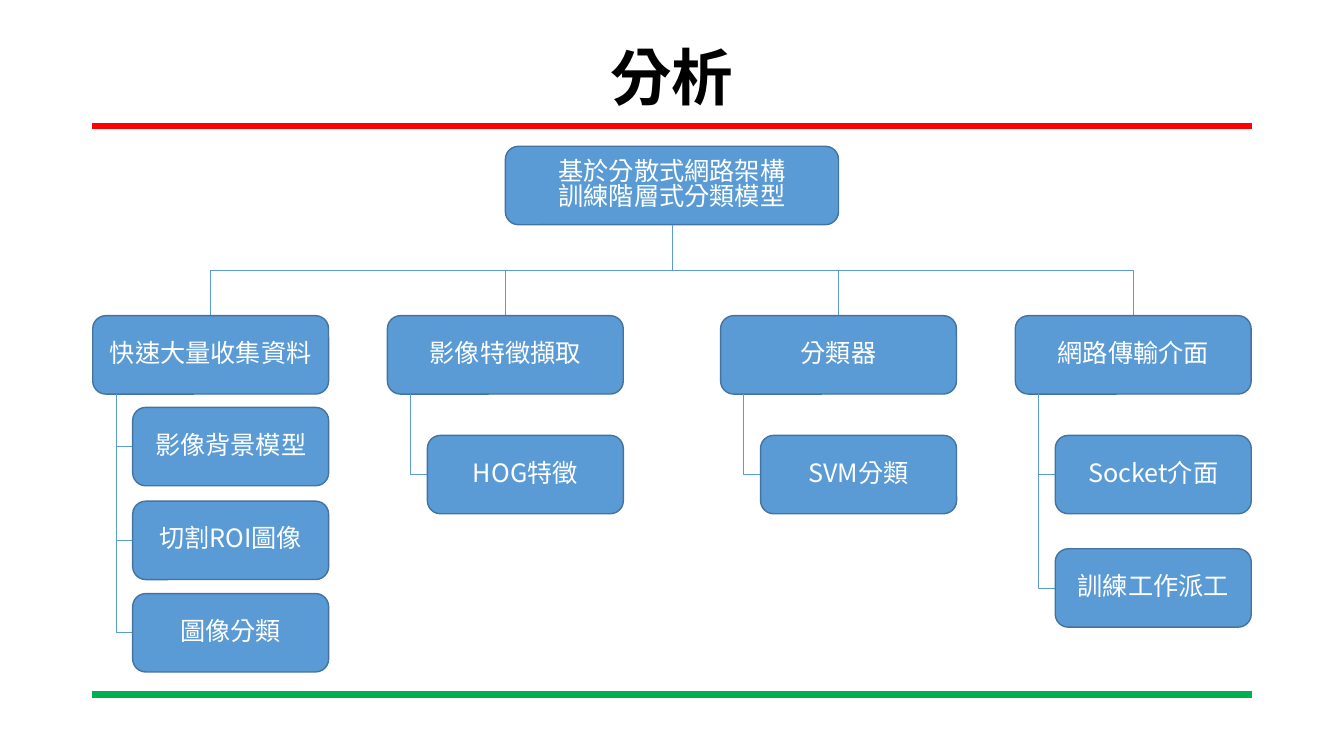
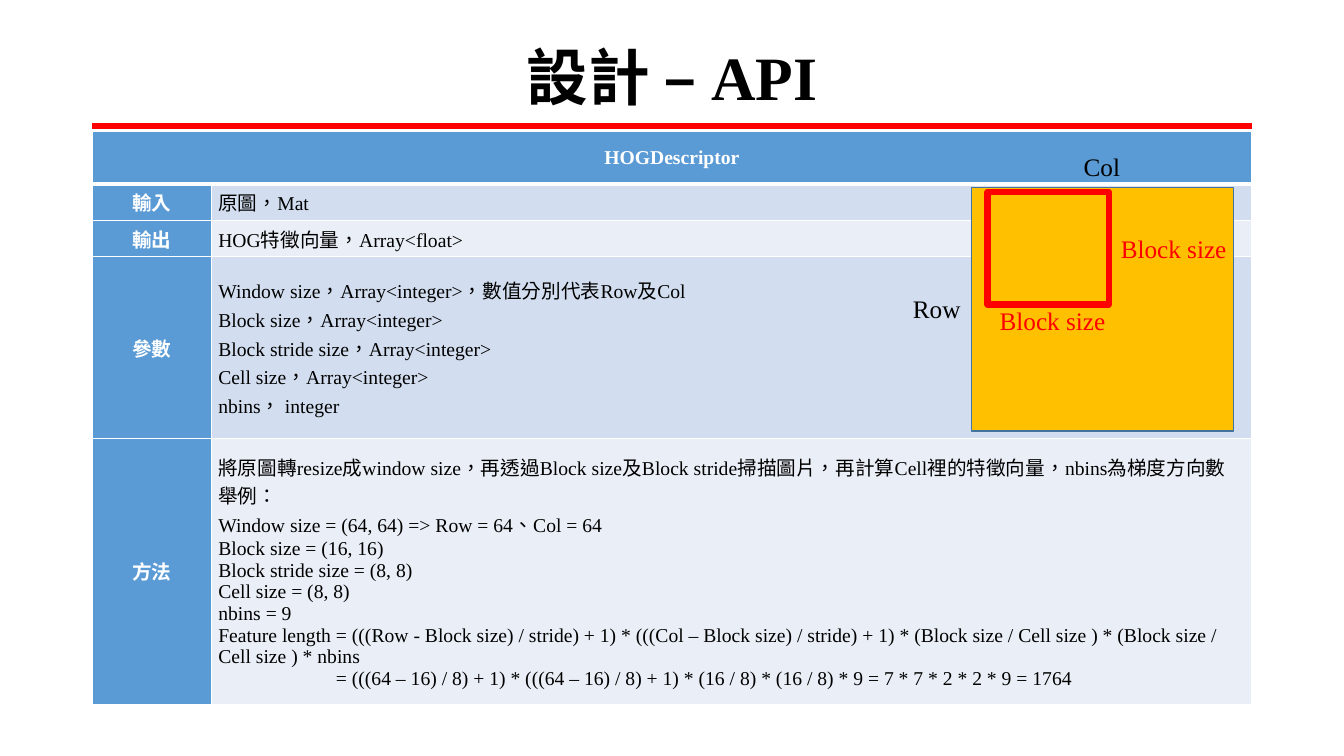
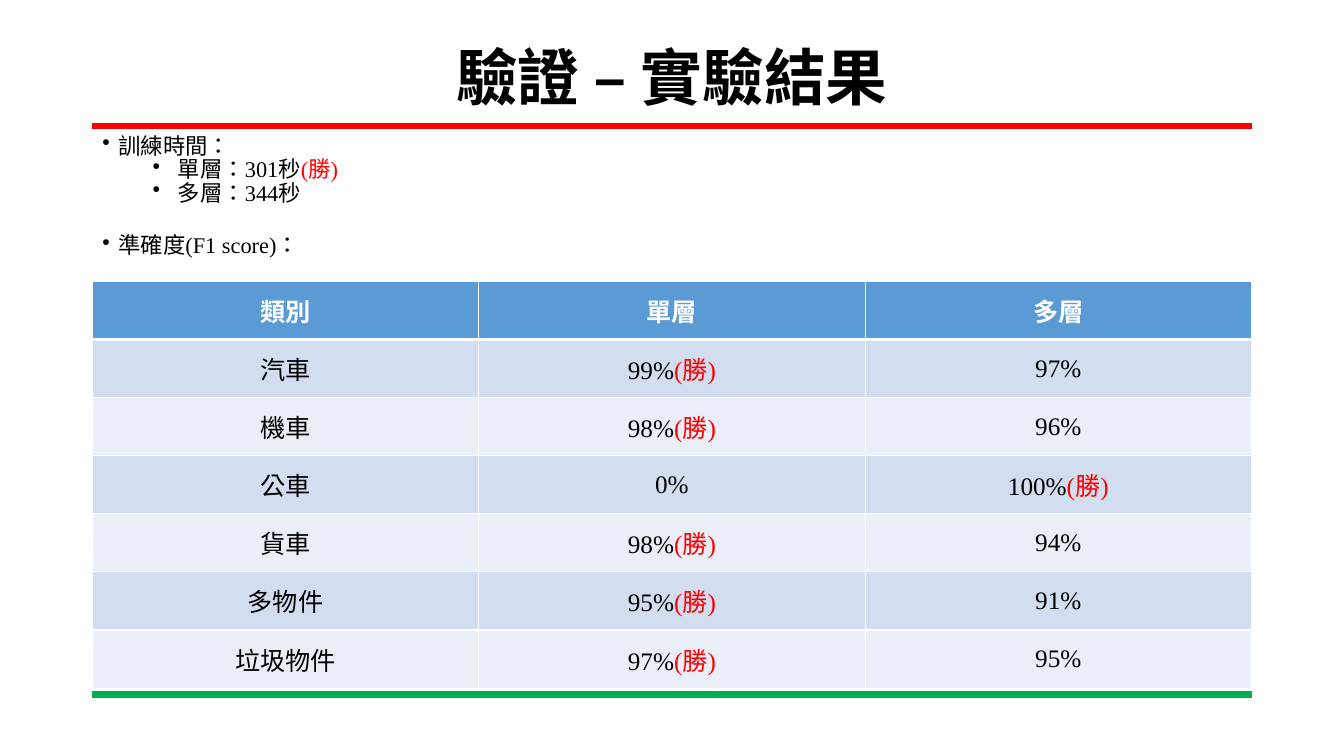
from dataclasses import dataclass

from lxml import etree
from pptx import Presentation
from pptx.dml.color import RGBColor
from pptx.enum.shapes import MSO_CONNECTOR, MSO_SHAPE
from pptx.enum.text import MSO_ANCHOR, MSO_AUTO_SIZE, PP_ALIGN
from pptx.oxml.ns import qn
from pptx.util import Pt

ROUND, RECT = MSO_SHAPE.ROUNDED_RECTANGLE, MSO_SHAPE.RECTANGLE
STRAIGHT, ELBOW = MSO_CONNECTOR.STRAIGHT, MSO_CONNECTOR.ELBOW
LEFT, CENTER = PP_ALIGN.LEFT, PP_ALIGN.CENTER
TOP, MIDDLE = MSO_ANCHOR.TOP, MSO_ANCHOR.MIDDLE
NO_FIT = MSO_AUTO_SIZE.NONE
TAIWAN = "zh-TW"


@dataclass(frozen=True)
class Theme:
    black: str = "000000"
    white: str = "FFFFFF"
    red: str = "FF0000"
    green: str = "00B050"
    blue: str = "5B9BD5"
    edge: str = "43739E"
    gold: str = "FFC000"
    bands: tuple = ("EAEFF7", "D2DEEF")
    serif: str = "Times New Roman"
    sans: str = "Noto Sans CJK SC"
    head: int = 44
    label: int = 18
    body: int = 16
    small: int = 14
    left: int = 66
    wide: int = 828


T = Theme()


def put(item, **values):
    for name, value in values.items():
        setattr(item, name, value)


def rgb(ink):
    return RGBColor.from_string(ink)


def points(*sizes):
    return [Pt(size) for size in sizes]


def mark(text):
    score, win, rest = text.partition("(勝)")
    return [(score, T.black), (win, T.red), (rest, T.black)]


class Deck:
    def __init__(self):
        self.file = Presentation()
        put(self.file, slide_width=Pt(960), slide_height=Pt(540))
        self.slide = None

    def page(self, title):
        self.slide = self.file.slides.add_slide(self.file.slide_layouts[5])
        for y, ink in ((90, T.red), (496, T.green)):
            self.link(STRAIGHT, T.left, y, T.left + T.wide, y, ink, 4.5)
        head = self.slide.shapes.title
        left, top, width, height = points(T.left, 29, T.wide, 57)
        put(head, left=left, top=top, width=width, height=height)
        put(head.text_frame, auto_size=NO_FIT, word_wrap=True)
        self.text(head.text_frame, [title], T.head, bold=True, align=CENTER,
                  anchor=MIDDLE, space=0.9)

    def runs(self, para, text, size, ink, face, bold):
        parts = [(text, ink)] if isinstance(text, str) else text
        for words, tone in parts:
            for row, line in enumerate(words.split("\n")):
                if row:
                    para.add_line_break()
                if not line:
                    continue
                run = para.add_run()
                run.text = line
                put(run.font, name=face, size=Pt(size), bold=bold)
                run.font.color.rgb = rgb(tone)
                props = run._r.get_or_add_rPr()
                props.set("lang", TAIWAN)
                etree.SubElement(props, qn("a:ea")).set("typeface", T.sans)

    def text(self, frame, lines, size, ink=T.black, face=T.serif, bold=False,
             align=LEFT, anchor=TOP, space=None):
        frame.vertical_anchor = anchor
        for row, line in enumerate(lines):
            para = frame.add_paragraph() if row else frame.paragraphs[0]
            put(para, alignment=align, line_spacing=space)
            self.runs(para, line, size, ink, face, bold)

    def link(self, kind, x1, y1, x2, y2, ink=T.blue, weight=0.5):
        line = self.slide.shapes.add_connector(kind, *points(x1, y1, x2, y2))
        line.line.color.rgb = rgb(ink)
        line.line.width = Pt(weight)
        etree.SubElement(line.element.spPr, qn("a:effectLst"))
        return line

    def bend(self, x1, y1, x2, y2, preset="bentConnector3"):
        long, wide = (y2 - y1) / 2, abs(x2 - x1) / 2
        x, y = (x1 + x2) / 2, (y1 + y2) / 2
        turn, side = (270, -1) if x2 > x1 else (90, 1)
        line = self.link(ELBOW, x - side * long, y - wide, x + side * long, y + wide)
        props = line.element.spPr
        props.find(qn("a:xfrm")).set("rot", str(turn * 60000))
        props.find(qn("a:prstGeom")).set("prst", preset)

    def shape(self, kind, area, fill=None, edge=T.edge, weight=1):
        item = self.slide.shapes.add_shape(kind, *points(*area))
        item.shadow.inherit = False
        if fill:
            item.fill.solid()
            item.fill.fore_color.rgb = rgb(fill)
        else:
            item.fill.background()
        item.line.color.rgb = rgb(edge)
        item.line.width = Pt(weight)
        return item

    def node(self, text, *area):
        frame = self.shape(ROUND, area, T.blue).text_frame
        frame.word_wrap = True
        self.text(frame, [text], T.label, T.white, T.sans,
                  align=CENTER, anchor=MIDDLE, space=0.83)

    def label(self, text, ink, *area):
        frame = self.slide.shapes.add_textbox(*points(*area)).text_frame
        frame.word_wrap = False
        self.text(frame, [text], T.label, ink)

    def bullets(self, items, *area):
        frame = self.slide.shapes.add_textbox(*points(*area)).text_frame
        frame.word_wrap = True
        self.text(frame, [text for text, _, _ in items], T.body, space=0.88)
        for para, (_, level, gap) in zip(frame.paragraphs, items):
            margin, hang = ((11.5, 11.5), (54, 18))[level]
            put(para, level=level, space_before=Pt(gap))
            props = para._p.get_or_add_pPr()
            props.set("marL", str(Pt(margin)))
            props.set("indent", str(-Pt(hang)))
            etree.SubElement(props, qn("a:buChar")).set("char", "•")

    def rule(self, cell, row):
        props = cell._tc.get_or_add_tcPr()
        thick = {"lnT": 3 if row == 1 else 1, "lnB": 1 if row else 3}
        for side in ("lnL", "lnR", "lnT", "lnB"):
            line = etree.SubElement(props, qn("a:" + side))
            line.set("w", str(Pt(thick.get(side, 1))))
            fill = etree.SubElement(line, qn("a:solidFill"))
            etree.SubElement(fill, qn("a:srgbClr")).set("val", T.white)

    def table(self, rows, top, cols, highs, size, side=False, pad=(7.2, 3.6)):
        area = points(T.left, top, sum(cols), sum(highs))
        grid = self.slide.shapes.add_table(len(rows), len(cols), *area).table
        for col, width in zip(grid.columns, cols):
            col.width = Pt(width)
        for row, high in zip(grid.rows, highs):
            row.height = Pt(high)
        wide, high = points(*pad)
        for r, row in enumerate(rows):
            for c, text in enumerate(row):
                cell = grid.cell(r, c)
                head = r == 0 or (side and c == 0)
                self.rule(cell, r)
                cell.fill.solid()
                cell.fill.fore_color.rgb = rgb(T.blue if head else T.bands[r % 2])
                put(cell, margin_left=wide, margin_right=wide,
                    margin_top=high, margin_bottom=high)
                lines = text if isinstance(text, tuple) else (text,)
                self.text(cell.text_frame, lines, size,
                          T.white if head else T.black, bold=head,
                          align=CENTER if head or not side else LEFT)
                cell.vertical_anchor = MIDDLE
        return grid


def tree(deck):
    deck.page("分析")
    mid, wide, high, top = 480, 168.5, 56, 225.5
    deck.node("基於分散式網路架構\n訓練階層式分類模型", mid - 119, 104.5, 238, high)
    groups = (
        (-329.5, "快速大量收集資料",
         (("影像背景模型", 291), ("切割ROI圖像", 358), ("圖像分類", 424))),
        (-119, "影像特徵擷取", (("HOG特徵", 311),)),
        (119, "分類器", (("SVM分類", 311),)),
        (329.5, "網路傳輸介面", (("Socket介面", 311), ("訓練工作派工", 392))),
    )
    for shift, name, leaves in groups:
        left = mid + shift - wide / 2
        deck.bend(mid, 104.5 + high, mid + shift, top)
        deck.node(name, left, top, wide, high)
        for leaf, y in leaves:
            deck.bend(left + 16.5, top + high, left + 28.5, y + high / 2,
                      "bentConnector2")
            deck.node(leaf, left + 28.5, y, wide - 28.5, high)


def design(deck):
    deck.page("設計 – API")
    rows = (
        ("HOGDescriptor", ""),
        ("輸入", "原圖，Mat"),
        ("輸出", "HOG特徵向量，Array<float>"),
        ("參數", (
            "Window size，Array<integer>，數值分別代表Row及Col",
            "Block size，Array<integer>",
            "Block stride size，Array<integer>",
            "Cell size，Array<integer>",
            "nbins， integer")),
        ("方法", (
            "將原圖轉resize成window size，再透過Block size及Block stride掃描圖片，"
            "再計算Cell裡的特徵向量，nbins為梯度方向數",
            "舉例：",
            "Window size = (64, 64) => Row = 64、Col = 64",
            "Block size = (16, 16)",
            "Block stride size = (8, 8)",
            "Cell size = (8, 8)",
            "nbins = 9",
            "Feature length = (((Row - Block size) / stride) + 1) * "
            "(((Col – Block size) / stride) + 1) * (Block size / Cell size ) * "
            "(Block size / Cell size ) * nbins",
            "= (((64 – 16) / 8) + 1) * (((64 – 16) / 8) + 1) * (16 / 8) * (16 / 8)"
            " * 9 = 7 * 7 * 2 * 2 * 9 = 1764")),
    )
    grid = deck.table(rows, 94, (85, 743), (37.5, 26, 26, 129.5, 179), T.small,
                      side=True, pad=(5, 0))
    grid.cell(0, 0).merge(grid.cell(0, 1))
    last = grid.cell(4, 1).text_frame.paragraphs[-1]
    last._p.get_or_add_pPr().set("marL", str(Pt(84)))
    deck.shape(RECT, (694, 134, 187, 174), T.gold)
    deck.shape(RECT, (705.5, 137, 86.5, 80.5), edge=T.red, weight=4.5)
    for text, ink, x, y, wide in (
        ("Col", T.black, 767, 104.5, 41),
        ("Row", T.black, 645, 206, 49),
        ("Block size", T.red, 793.5, 163, 90.5),
        ("Block size", T.red, 707, 214.5, 90.5),
    ):
        deck.label(text, ink, x, y, wide, 29)


def result(deck):
    deck.page("驗證 – 實驗結果")
    deck.bullets((
        ("訓練時間：", 0, 0),
        (mark("單層：301秒(勝)"), 1, 0),
        ("多層：344秒", 1, 0),
        ("準確度(F1 score)：", 0, 20.5),
    ), T.left, 93, T.wide, 108)
    scores = (
        ("汽車", "99%(勝)", "97%"),
        ("機車", "98%(勝)", "96%"),
        ("公車", "0%", "100%(勝)"),
        ("貨車", "98%(勝)", "94%"),
        ("多物件", "95%(勝)", "91%"),
        ("垃圾物件", "97%(勝)", "95%"),
    )
    rows = [("類別", "單層", "多層")] + [[mark(text) for text in row] for row in scores]
    deck.table(rows, 201, [T.wide / 3] * 3, [41.5] * 7, T.label)


def main():
    deck = Deck()
    for draw in (tree, design, result):
        draw(deck)
    deck.file.save("out.pptx")


if __name__ == "__main__":
    main()
